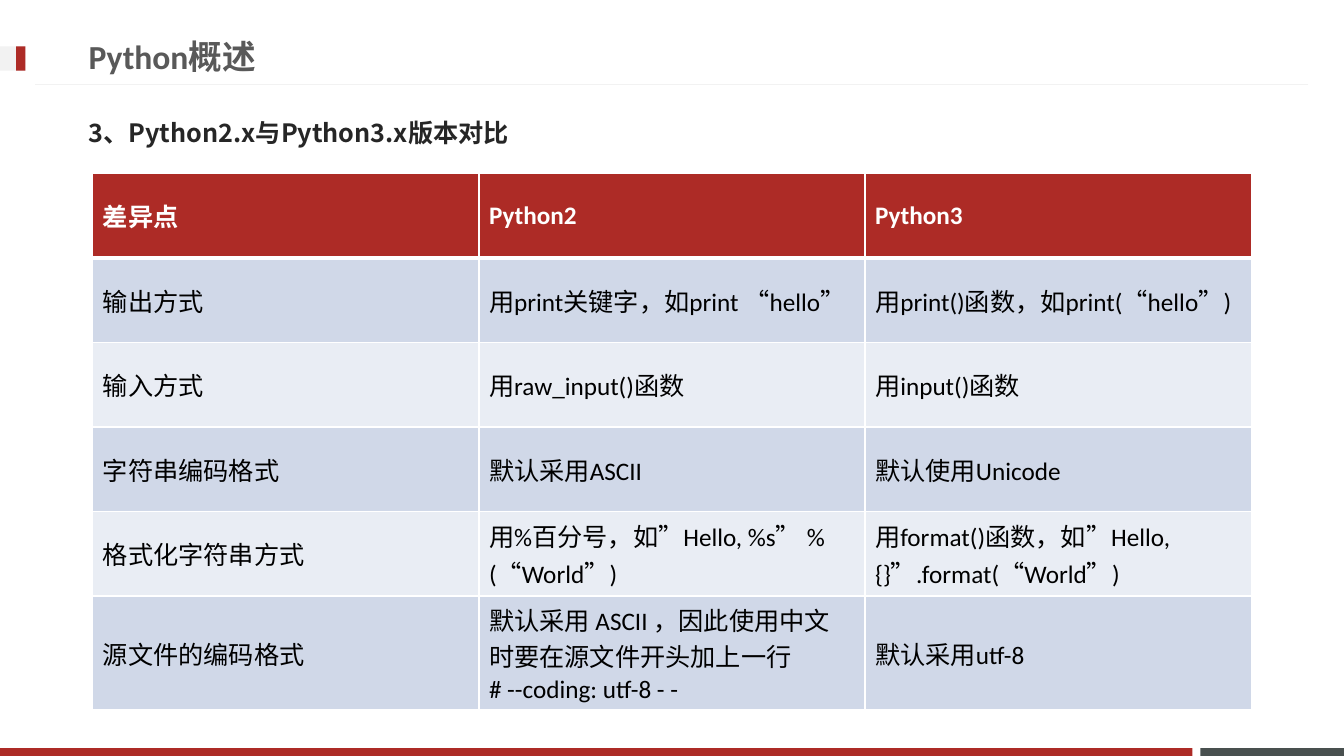
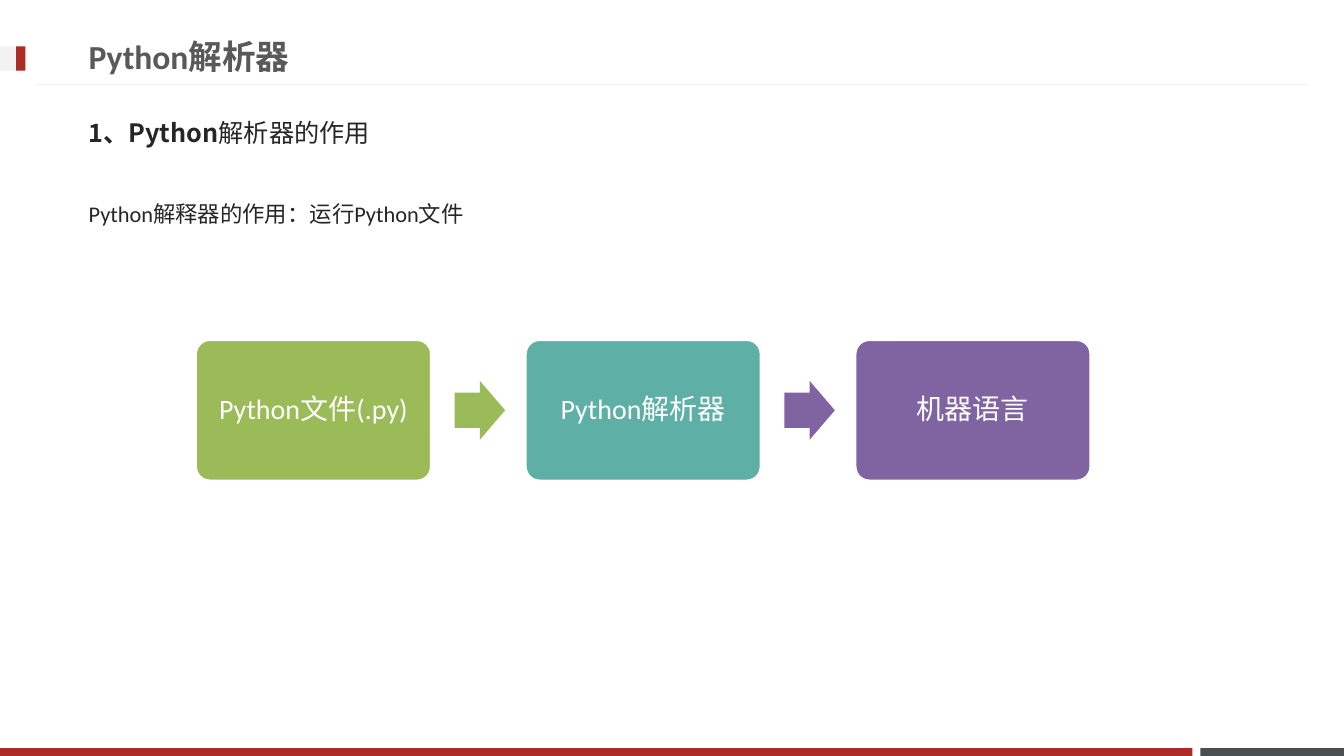
"""Build two slides on Python versions and the Python interpreter."""
import pptx
import pptx.dml.color
import pptx.enum.shapes
import pptx.enum.text
import pptx.oxml
import pptx.oxml.ns
import pptx.util

Cm = pptx.util.Cm
Pt = pptx.util.Pt
FORM = pptx.enum.shapes.MSO_SHAPE
ALIGN = pptx.enum.text.PP_ALIGN
ANCHOR = pptx.enum.text.MSO_ANCHOR
LATIN = "Calibri"
HAN = "Noto Sans CJK JP"
HUES = {
    "red": "AD2B26", "slate": "49504F", "pale": "F2F2F2", "white": "FFFFFF",
    "black": "000000", "title": "595959", "ink": "262626",
    "blue": "D0D8E8", "mist": "E9EDF4",
    "green": "9BBB59", "teal": "5EAFA6", "plum": "8064A2",
}
ROWS = [
    ("差异点", "Python2", "Python3"),
    ("输出方式", "用print关键字，如print “hello”", "用print()函数，如print(“hello”)"),
    ("输入方式", "用raw_input()函数", "用input()函数"),
    ("字符串编码格式", "默认采用ASCII", "默认使用Unicode"),
    ("格式化字符串方式", "用%百分号，如”Hello, %s” % (“World”)",
     "用format()函数，如”Hello, {}”.format(“World”)"),
    ("源文件的编码格式",
     "默认采用 ASCII ，因此使用中文时要在源文件开头加上一行\n# --coding: utf-8 - -",
     "默认采用utf-8"),
]
STEPS = [("Python文件(.py)", "green"), ("Python解析器", "teal"), ("机器语言", "plum")]


def tint(hue):
    return pptx.dml.color.RGBColor.from_string(HUES[hue])


def node(tag, **attrs):
    item = pptx.oxml.parse_xml(f"<a:{tag} {pptx.oxml.ns.nsdecls('a')}/>")
    for key, value in attrs.items():
        item.set(key, str(value))
    return item


def write(frame, text, lead="", size=18, hue="ink", bold=False, face=LATIN,
          align=ALIGN.LEFT, space=1.0, anchor=ANCHOR.MIDDLE, plain=False):
    frame.word_wrap = True
    frame.vertical_anchor = anchor
    for i, line in enumerate(text.split("\n")):
        para = frame.add_paragraph() if i else frame.paragraphs[0]
        if plain:
            props = para._p.get_or_add_pPr()
            props.set("marL", "0")
            props.set("indent", "0")
            props.append(node("buNone"))
        para.alignment = align
        para.line_spacing = space
        para.space_before = Pt(0)
        parts = [(line, bold)]
        if lead and not i:
            parts.insert(0, (lead, True))
        for words, heavy in parts:
            run = para.add_run()
            run.text = words
            run.font.size = Pt(size)
            run.font.bold = heavy
            run.font.color.rgb = tint(hue)
            run.font.name = face
            run._r.get_or_add_rPr().append(node("ea", typeface=HAN))


class Deck:
    def __init__(self):
        self.show = pptx.Presentation()
        self.show.slide_width = Cm(33.87)
        self.show.slide_height = Cm(19.05)
        self.slide = None

    def start(self, layout, title):
        self.slide = self.show.slides.add_slide(self.show.slide_layouts[layout])
        self.block(30.25, 18.85, 3.62, 0.2, "slate")
        self.block(0, 18.85, 30.05, 0.2, "red")
        self.rule(0.89, 32.97, 2.13)
        self.block(0, 1.17, 0.64, 0.61, "pale")
        self.block(0.41, 1.17, 0.23, 0.61, "red")
        self.fill(0, title, (1.98, 0.69, 24.36, 1.45), size=24, hue="title", bold=True)

    def fill(self, slot, text, place, **style):
        holder = self.slide.placeholders[slot]
        holder.left, holder.top, holder.width, holder.height = map(Cm, place)
        holder.text_frame.auto_size = pptx.enum.text.MSO_AUTO_SIZE.NONE
        write(holder.text_frame, text, plain=True, **style)

    def head(self, text, **style):
        self.fill(1, text, (1.98, 2.62, 29.87, 1.45), face=HAN, **style)

    def block(self, left, top, width, height, hue, form=FORM.RECTANGLE, bends=()):
        shape = self.slide.shapes.add_shape(form, Cm(left), Cm(top), Cm(width), Cm(height))
        shape.shadow.inherit = False
        shape.fill.solid()
        shape.fill.fore_color.rgb = tint(hue)
        shape.line.fill.background()
        for i, bend in enumerate(bends):
            shape.adjustments[i] = bend
        return shape

    def rule(self, left, right, top):
        line = self.slide.shapes.add_connector(
            pptx.enum.shapes.MSO_CONNECTOR.STRAIGHT, Cm(right), Cm(top), Cm(left), Cm(top))
        line.line.color.rgb = tint("pale")
        line.line.width = Pt(0.75)
        line._element.spPr.append(node("effectLst"))

    def edge(self, cell, side, width):
        line = node("ln" + side, w=Pt(width))
        paint = node("solidFill")
        paint.append(node("srgbClr", val=HUES["white"]))
        line.append(paint)
        cell._tc.get_or_add_tcPr().append(line)

    def grid(self, rows, left, top, width, height):
        count = len(rows[0])
        table = self.slide.shapes.add_table(
            len(rows), count, Cm(left), Cm(top),
            Cm(width * count), Cm(height * len(rows))).table
        table.horz_banding = False
        for y, row in enumerate(rows):
            table.rows[y].height = Cm(height)
            for x, text in enumerate(row):
                cell = table.cell(y, x)
                thick = {"T": 3 if y == 1 else 1, "B": 1 if y else 3}
                for side in "LRTB":
                    self.edge(cell, side, thick.get(side, 1))
                cell.fill.solid()
                cell.fill.fore_color.rgb = tint(("mist", "blue")[y % 2] if y else "red")
                cell.vertical_anchor = ANCHOR.MIDDLE
                write(cell.text_frame, text, bold=not y, hue="black" if y else "white")

    def flow(self, steps, left, top, pitch):
        for i, (text, hue) in enumerate(steps):
            x = left + i * pitch
            box = self.block(x, top, 5.94, 3.56, hue, FORM.ROUNDED_RECTANGLE, [0.1])
            box.line.color.rgb = tint("white")
            box.line.width = Pt(2)
            frame = box.text_frame
            frame.margin_left = frame.margin_right = Cm(0.3)
            write(frame, text, size=20, hue="white", align=ALIGN.CENTER, space=0.9)
            if i:
                self.block(x - 1.78, top + 1.04, 1.27, 1.48,
                           steps[0][1] if i == 1 else hue, FORM.RIGHT_ARROW, [0.6, 0.5])


def main():
    deck = Deck()
    deck.start(1, "Python概述")
    deck.head("3、Python2.x与Python3.x版本对比", bold=True)
    deck.grid(ROWS, 2.34, 4.37, 9.73, 2.13)

    deck.start(3, "Python解析器")
    deck.head("解析器的作用", lead="1、Python")
    deck.fill(2, "Python解释器的作⽤：运⾏Python文件", (1.98, 4.57, 29.87, 11.71),
              size=16, space=1.5, anchor=ANCHOR.TOP)
    deck.flow(STEPS, 4.93, 8.56, 8.31)
    deck.show.save("out.pptx")


if __name__ == "__main__":
    main()
